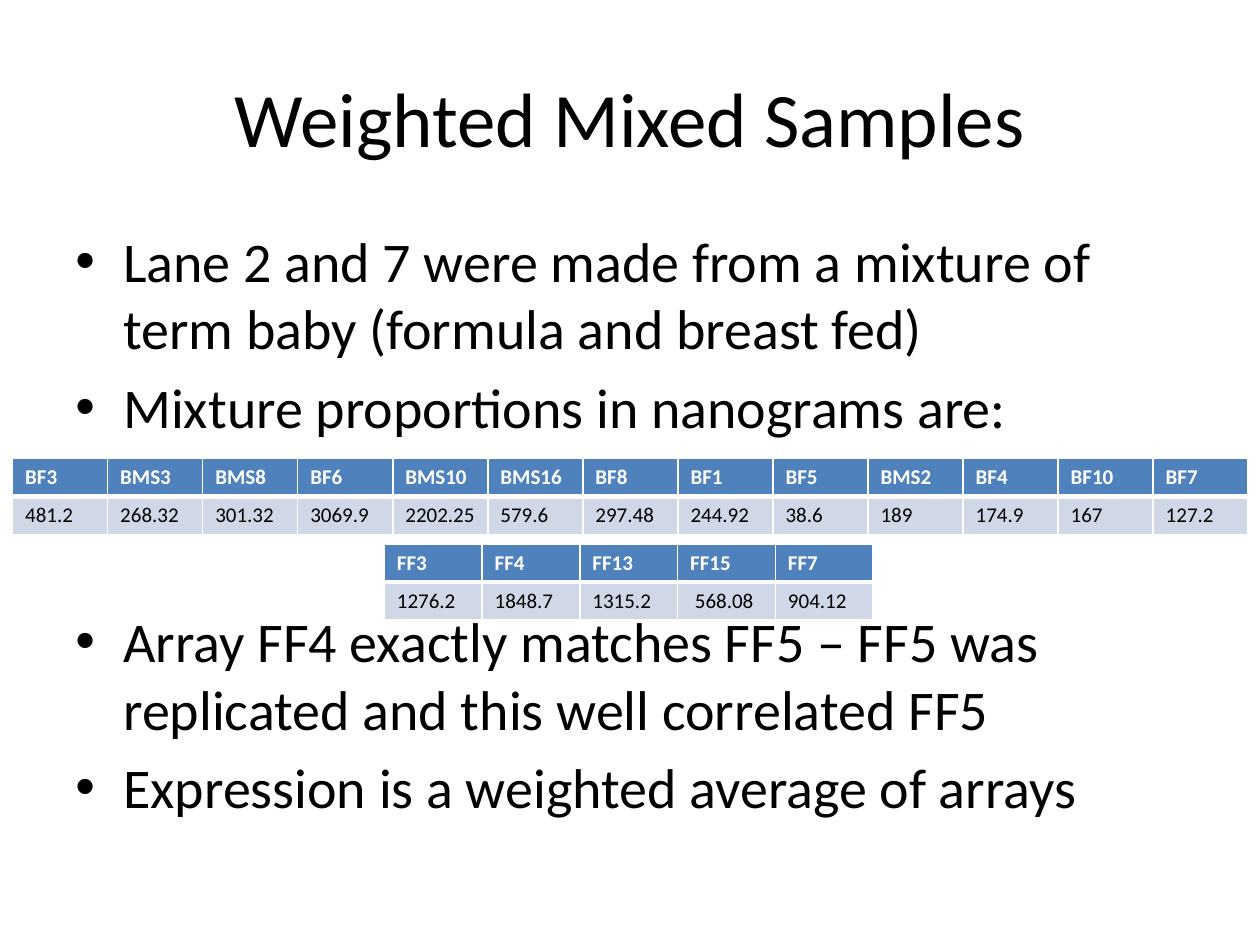
import pptx
import pptx.dml.color
import pptx.enum.text
import pptx.oxml.ns
import pptx.util
from lxml import etree
from pptx.util import Inches

WHITE = pptx.dml.color.RGBColor(0xFF, 0xFF, 0xFF)
BLACK = pptx.dml.color.RGBColor(0, 0, 0)
HEADER_BLUE = pptx.dml.color.RGBColor(0x4F, 0x81, 0xBD)
ROW_BLUE = pptx.dml.color.RGBColor(0xD0, 0xD8, 0xE8)
FONT = "Calibri"

BULLETS = [  # text, space before in points; the third leaves room for the tables
    ("Lane 2 and 7 were made from a mixture of term baby (formula and breast fed)", 6.4),
    ("Mixture proportions in nanograms are:", 6.4),
    ("Array FF4 exactly matches FF5 – FF5 was replicated and this well correlated FF5", 95.6),
    ("Expression is a weighted average of arrays", 6.4),
]
BREAST_FED = {
    "BF3": "481.2", "BMS3": "268.32", "BMS8": "301.32", "BF6": "3069.9",
    "BMS10": "2202.25", "BMS16": "579.6", "BF8": "297.48", "BF1": "244.92",
    "BF5": "38.6", "BMS2": "189", "BF4": "174.9", "BF10": "167", "BF7": "127.2",
}
FORMULA_FED = {
    "FF3": "1276.2", "FF4": "1848.7", "FF13": "1315.2", "FF15": " 568.08", "FF7": "904.12",
}


def format_runs(paragraph, size, color, bold=False):
    for run in paragraph.runs:
        run.font.name = FONT
        run.font.size = pptx.util.Pt(size)
        run.font.color.rgb = color
        run.font.bold = bold


def add_border(cell, side, points):
    line = etree.SubElement(cell._tc.get_or_add_tcPr(), pptx.oxml.ns.qn(f"a:ln{side}"),
                            w=str(pptx.util.Pt(points)))
    fill = etree.SubElement(line, pptx.oxml.ns.qn("a:solidFill"))
    etree.SubElement(fill, pptx.oxml.ns.qn("a:srgbClr"), val=str(WHITE))


prs = pptx.Presentation()
prs.slide_width, prs.slide_height = Inches(10), Inches(7.5)
slide = prs.slides.add_slide(prs.slide_layouts[5])

title = slide.shapes.title
title.left, title.top, title.width, title.height = (
    Inches(0.5), Inches(0.3), Inches(9), Inches(1.25))
title.text_frame.text = "Weighted Mixed Samples"
title.text_frame.vertical_anchor = pptx.enum.text.MSO_ANCHOR.MIDDLE
title.text_frame.paragraphs[0].alignment = pptx.enum.text.PP_ALIGN.CENTER
format_runs(title.text_frame.paragraphs[0], 44, BLACK)

body = slide.shapes.add_textbox(Inches(0.5), Inches(1.75), Inches(9), Inches(5.25)).text_frame
body.word_wrap = True
body.text = "\n".join(text for text, _ in BULLETS)
for paragraph, (_, space_before) in zip(body.paragraphs, BULLETS):
    paragraph.space_before = pptx.util.Pt(space_before)
    format_runs(paragraph, 32, BLACK)
    properties = paragraph._p.get_or_add_pPr()
    properties.set("marL", str(Inches(0.38)))
    properties.set("indent", str(Inches(-0.38)))
    etree.SubElement(properties, pptx.oxml.ns.qn("a:buFont"), typeface="Arial")
    etree.SubElement(properties, pptx.oxml.ns.qn("a:buChar"), char="•")

for amounts, left, top, width in ((BREAST_FED, 0.1, 3.64, 9.81),
                                  (FORMULA_FED, 3.05, 4.32, 3.88)):
    table = slide.shapes.add_table(2, len(amounts), Inches(left), Inches(top),
                                   Inches(width), Inches(0.6)).table
    for column, sample in enumerate(amounts.items()):
        table.columns[column].width = Inches(width / len(amounts))
        for row, text in enumerate(sample):
            header = row == 0
            cell = table.cell(row, column)
            cell.text_frame.text = text
            format_runs(cell.text_frame.paragraphs[0], 12, WHITE if header else BLACK, header)
            for side, points in (("L", 1), ("R", 1),
                                 ("T", 1 if header else 3), ("B", 3 if header else 1)):
                add_border(cell, side, points)
            cell.fill.solid()
            cell.fill.fore_color.rgb = HEADER_BLUE if header else ROW_BLUE

prs.save("out.pptx")
